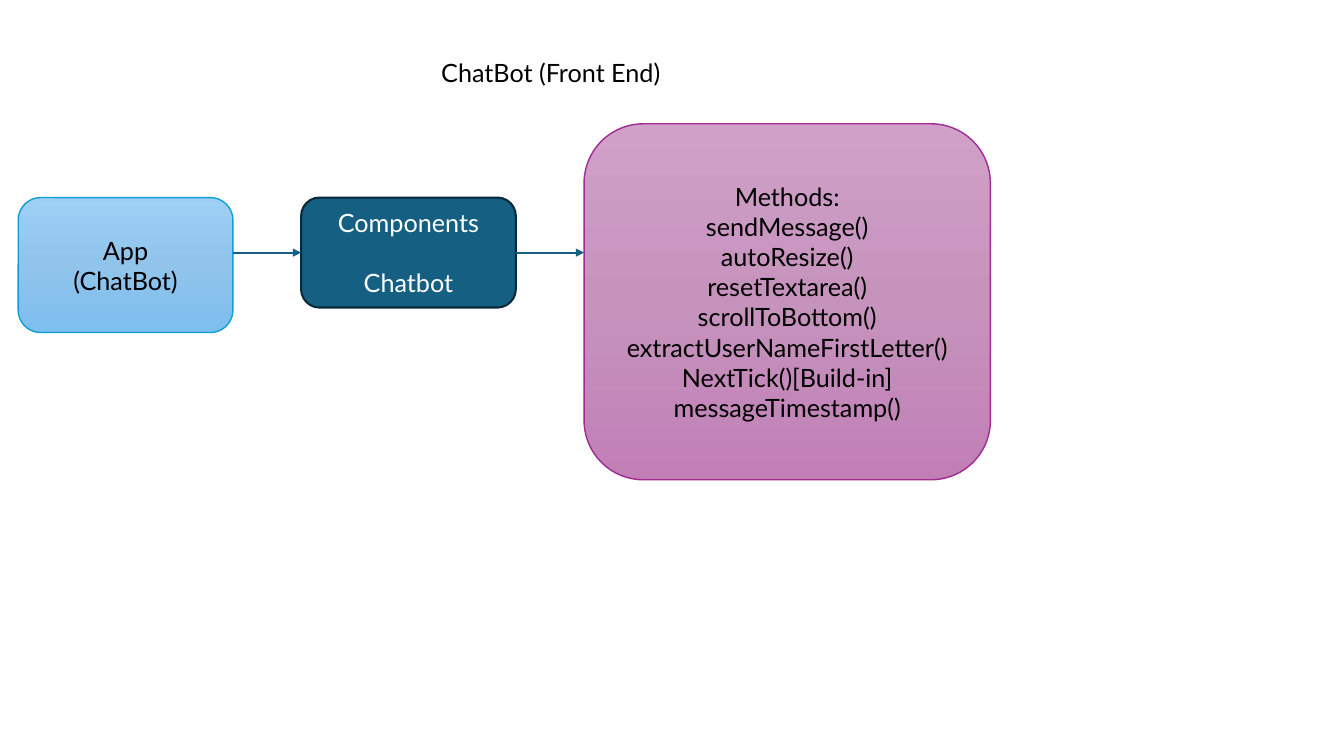
from copy import deepcopy

from pptx import Presentation
from pptx import util as u
from pptx.dml.color import RGBColor
from pptx.enum import shapes, text
from pptx.oxml.ns import qn
from lxml import etree

BLACK = RGBColor(0x00, 0x00, 0x00)
WHITE = RGBColor(0xFF, 0xFF, 0xFF)
TEAL = RGBColor(0x15, 0x60, 0x82)
DARK_TEAL = RGBColor(0x09, 0x2A, 0x39)
SKY = RGBColor(0x0F, 0x9E, 0xD5)
PURPLE = RGBColor(0xA0, 0x2B, 0x93)
BLUES = [RGBColor(0x9E, 0xCF, 0xF5), RGBColor(0x90, 0xC4, 0xEB), RGBColor(0x7C, 0xBE, 0xED)]
PINKS = [RGBColor(0xD0, 0xA0, 0xC8), RGBColor(0xC6, 0x93, 0xBD), RGBColor(0xC1, 0x7F, 0xB6)]

METHODS = [
    "Methods:",
    "sendMessage()",
    "autoResize()",
    "resetTextarea()",
    "scrollToBottom()",
    "extractUserNameFirstLetter()",
    "NextTick()[Build-in]",
    "messageTimestamp()",
]


class Diagram:
    font = "Lato"
    size = u.Pt(18)

    def __init__(self, slide):
        self.s = slide

    def add_lines(self, tf, lines, color, align, gap=0):
        for i, line in enumerate(lines):
            p = tf.paragraphs[0] if i == 0 else tf.add_paragraph()
            p.alignment = align
            if i and gap:
                p.space_before = u.Pt(gap)
            r = p.add_run()
            r.text = line
            r.font.name = self.font
            r.font.size = self.size
            r.font.color.rgb = color

    def title(self, line, left, top, width, height):
        sp = self.s.shapes.add_textbox(u.Cm(left), u.Cm(top), u.Cm(width), u.Cm(height))
        tf = sp.text_frame
        tf.word_wrap = False
        tf.auto_size = text.MSO_AUTO_SIZE.SHAPE_TO_FIT_TEXT
        self.add_lines(tf, [line], BLACK, text.PP_ALIGN.LEFT)

    def gradient(self, fill, colors):
        """Fill from top to bottom with three evenly spaced colours."""
        fill.gradient()
        fill.gradient_angle = 270
        stops = fill._fill._gradFill.gsLst
        stops.insert(1, deepcopy(stops[0]))
        for i, (stop, color) in enumerate(zip(fill.gradient_stops, colors)):
            stop.position = i / 2
            stop.color.rgb = color

    def box(self, lines, left, top, width, height, fill, line, weight=1, color=BLACK, gap=0):
        sp = self.s.shapes.add_shape(shapes.MSO_SHAPE.ROUNDED_RECTANGLE,
                                     u.Cm(left), u.Cm(top), u.Cm(width), u.Cm(height))
        sp.shadow.inherit = False
        if isinstance(fill, list):
            self.gradient(sp.fill, fill)
        else:
            sp.fill.solid()
            sp.fill.fore_color.rgb = fill
        sp.line.color.rgb = line
        sp.line.width = u.Pt(weight)
        tf = sp.text_frame
        tf.word_wrap = True
        tf.vertical_anchor = text.MSO_ANCHOR.MIDDLE
        self.add_lines(tf, lines, color, text.PP_ALIGN.CENTER, gap)
        return sp

    def arrow(self, x1, x2, y):
        c = self.s.shapes.add_connector(shapes.MSO_CONNECTOR.STRAIGHT,
                                        u.Cm(x1), u.Cm(y), u.Cm(x2), u.Cm(y))
        c.line.color.rgb = TEAL
        c.line.width = u.Pt(1.5)
        etree.SubElement(c.line._get_or_add_ln(), qn("a:tailEnd"), type="triangle")
        etree.SubElement(c._element.spPr, qn("a:effectLst"))
        return c


def main():
    prs = Presentation()
    prs.slide_width, prs.slide_height = u.Cm(33.87), u.Cm(19.05)
    d = Diagram(prs.slides.add_slide(prs.slide_layouts[6]))

    top, width, gap = 4.98, 5.41, 1.72
    app_x = 0.46
    components_x = app_x + width + gap
    methods_x = components_x + width + gap
    components_h = 2.77
    arrow_y = top + components_h / 2

    d.title("ChatBot (Front End)", 10.87, 1.32, 6.07, 1.02)
    d.box(["App", "(ChatBot)"], app_x, top, width, 3.4, BLUES, SKY)
    components = d.box(["Components", "Chatbot"], components_x, top, width, components_h,
                       TEAL, DARK_TEAL, weight=1.5, color=WHITE, gap=21.6)
    d.box(METHODS, methods_x, 3.12, 10.24, 8.97, PINKS, PURPLE)
    d.arrow(app_x + width, components_x, arrow_y).end_connect(components, 1)
    d.arrow(components_x + width, methods_x, arrow_y).begin_connect(components, 3)

    prs.save("out.pptx")


if __name__ == "__main__":
    main()
